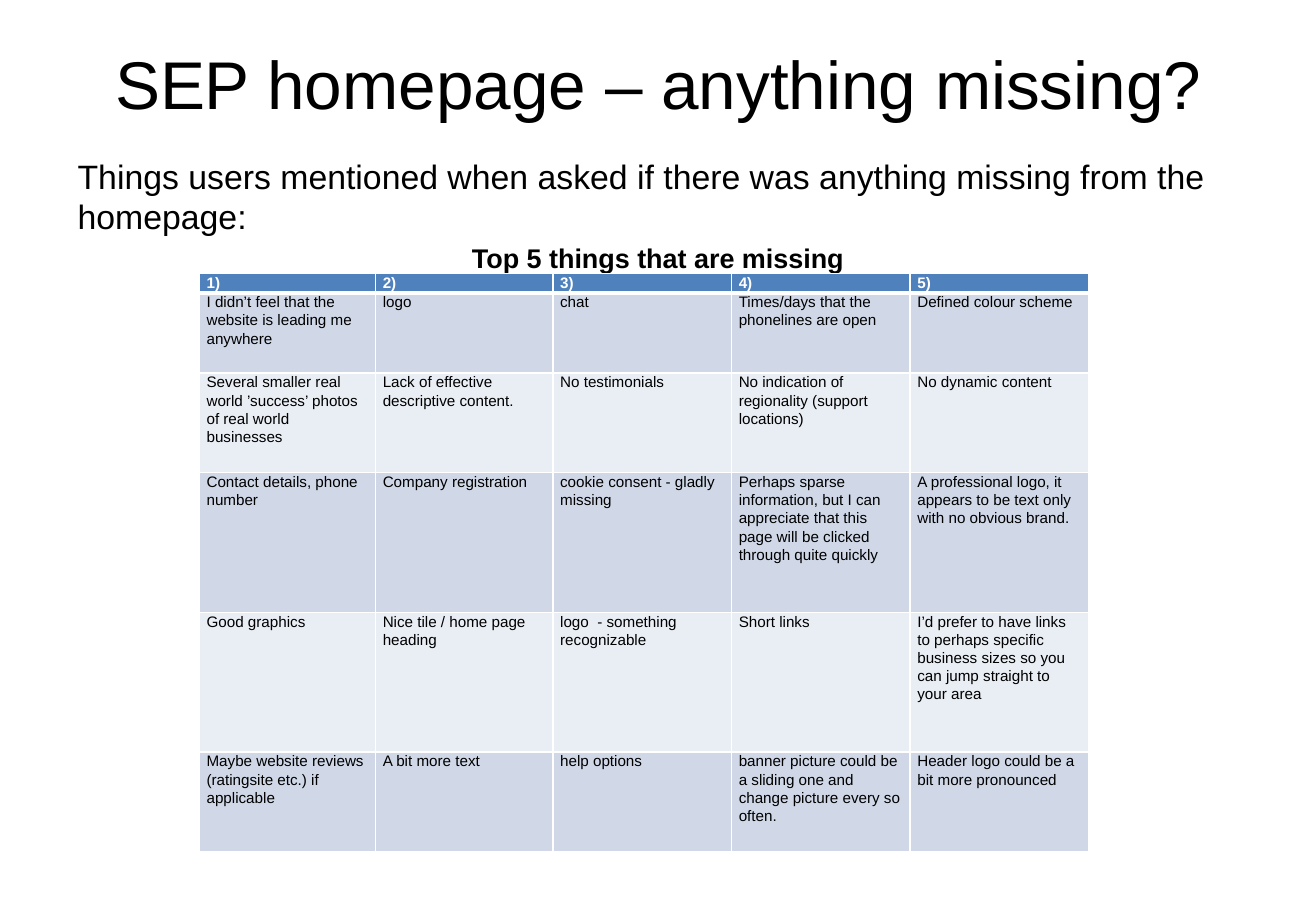
from dataclasses import dataclass

from lxml.etree import SubElement
from pptx import Presentation
from pptx.dml.color import RGBColor
from pptx.enum.text import MSO_ANCHOR, PP_ALIGN
from pptx.oxml.ns import qn
from pptx.util import Inches, Pt


@dataclass(frozen=True)
class Theme:
    """Colours, font and type sizes of the slide."""
    font: str = "Arial"
    ink: str = "000000"
    white: str = "FFFFFF"
    header: str = "4F81BD"
    bands: tuple = ("D0D8E8", "E9EDF4")
    title_size: int = 40
    body_size: int = 20
    caption_size: int = 16
    cell_size: int = 9
    cell_spacing: float = 1.07
    rule: int = 1
    header_rule: int = 3


class SlideBuilder:
    """Draws styled elements on the current slide."""

    def __init__(self, page, theme):
        """Keep the page and its theme."""
        self.page = page
        self.theme = theme

    def add_span(self, para, text, size, color, bold=False):
        """Add one styled run to a paragraph."""
        span = para.add_run()
        span.text = text
        span.font.name = self.theme.font
        span.font.size = Pt(size)
        span.font.bold = bold
        span.font.color.rgb = RGBColor.from_string(color)

    def add_text(self, left, top, width, height, lines):
        """Add a wrapped text box from (text, size, bold, alignment) lines."""
        box = self.page.shapes.add_textbox(
            Inches(left), Inches(top), Inches(width), Inches(height))
        frame = box.text_frame
        frame.word_wrap = True
        frame.vertical_anchor = MSO_ANCHOR.TOP
        for index, (text, size, bold, alignment) in enumerate(lines):
            para = frame.add_paragraph() if index else frame.paragraphs[0]
            para.alignment = alignment
            if index:
                para.space_before = Pt(size * 0.2)
            self.add_span(para, text, size, self.theme.ink, bold)

    def add_borders(self, cell, bottom):
        """Draw white rules on all four sides of a cell."""
        properties = cell._tc.get_or_add_tcPr()
        rule = self.theme.rule
        for side, width in (("L", rule), ("R", rule), ("T", rule), ("B", bottom)):
            line = SubElement(properties, qn(f"a:ln{side}"), w=str(Pt(width)))
            fill = SubElement(line, qn("a:solidFill"))
            SubElement(fill, qn("a:srgbClr"), val=self.theme.white)

    def fill_cell(self, cell, text, is_header, color):
        """Set the rules, fill, margins and text of one cell."""
        theme = self.theme
        self.add_borders(cell, theme.header_rule if is_header else theme.rule)
        cell.fill.solid()
        cell.fill.fore_color.rgb = RGBColor.from_string(color)
        cell.margin_left = cell.margin_right = Inches(0.06)
        cell.margin_top = cell.margin_bottom = Inches(0)
        para = cell.text_frame.paragraphs[0]
        para.line_spacing = theme.cell_spacing
        self.add_span(para, text, theme.cell_size,
                      theme.white if is_header else theme.ink, is_header)

    def add_table(self, left, top, widths, heights, rows):
        """Add a table with a header row and alternating bands."""
        table = self.page.shapes.add_table(
            len(heights), len(widths), Inches(left), Inches(top),
            Inches(sum(widths)), Inches(sum(heights))).table
        for column, width in zip(table.columns, widths):
            column.width = Inches(width)
        for row_index, texts in enumerate(rows):
            table.rows[row_index].height = Inches(heights[row_index])
            is_header = row_index == 0
            color = self.theme.header if is_header else self.theme.bands[(row_index - 1) % 2]
            for column_index, text in enumerate(texts):
                self.fill_cell(table.cell(row_index, column_index), text, is_header, color)


MISSING_THINGS = [
    [f"{rank})" for rank in range(1, 6)],
    ["I didn’t feel that the website is leading me anywhere", "logo", "chat",
     "Times/days that the phonelines are open", "Defined colour scheme"],
    ["Several smaller real world ’success’ photos of real world businesses",
     "Lack of effective descriptive content.", "No testimonials",
     "No indication of regionality (support locations)", "No dynamic content"],
    ["Contact details, phone number", "Company registration",
     "cookie consent - gladly missing",
     "Perhaps sparse information, but I can appreciate that this page will be "
     "clicked through quite quickly",
     "A professional logo, it appears to be text only with no obvious brand."],
    ["Good graphics", "Nice tile / home page heading",
     "logo  - something recognizable", "Short links",
     "I’d prefer to have links to perhaps specific business sizes so you can "
     "jump straight to your area"],
    ["Maybe website reviews (ratingsite etc.) if applicable", "A bit more text",
     "help options",
     "banner picture could be a sliding one and change picture every so often.",
     "Header logo could be a bit more pronounced"],
]


def main():
    """Build the slide and save the deck."""
    theme = Theme()
    deck = Presentation()
    deck.slide_width, deck.slide_height = Inches(10.83), Inches(7.5)
    builder = SlideBuilder(deck.slides.add_slide(deck.slide_layouts[6]), theme)
    builder.add_text(0.54, 0.3, 9.75, 1.25, [
        ("SEP homepage – anything missing?", theme.title_size, False, PP_ALIGN.CENTER)])
    builder.add_text(0.54, 1.23, 9.75, 5.97, [
        ("Things users mentioned when asked if there was anything missing from the homepage:",
         theme.body_size, False, PP_ALIGN.LEFT),
        ("Top 5 things that are missing", theme.caption_size, True, PP_ALIGN.CENTER)])
    builder.add_table(1.64, 2.25, [1.45, 1.46] + [1.47] * 3,
                      [0.16, 0.66, 0.82, 1.15, 1.15, 0.82], MISSING_THINGS)
    deck.save("out.pptx")


main()
